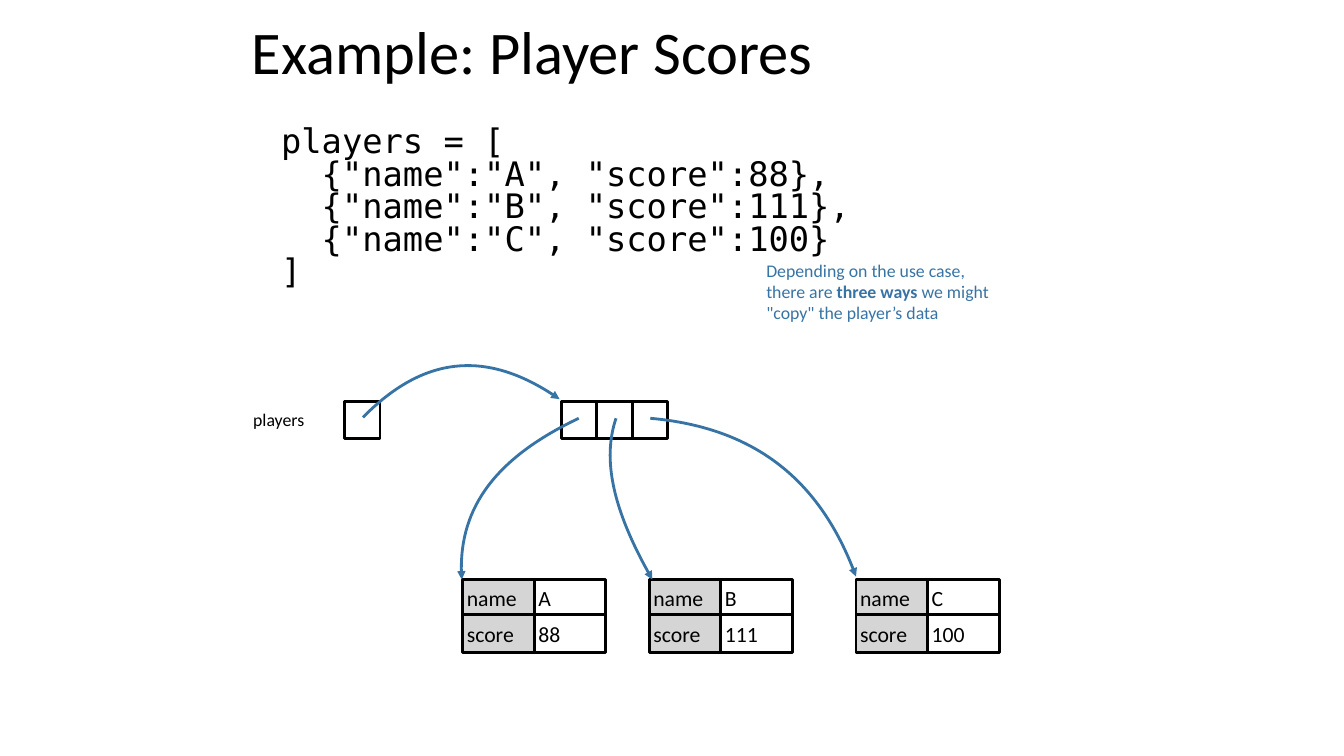
from dataclasses import dataclass

from lxml import etree
from pptx import Presentation
from pptx.dml.color import RGBColor
from pptx.enum.shapes import MSO_SHAPE
from pptx.enum.text import MSO_ANCHOR, MSO_AUTO_SIZE, PP_ALIGN
from pptx.oxml.ns import qn
from pptx.util import Inches, Pt

RECTANGLE = MSO_SHAPE.RECTANGLE
TOP, MIDDLE = MSO_ANCHOR.TOP, MSO_ANCHOR.MIDDLE
LEFT = PP_ALIGN.LEFT
FIT_SHAPE = MSO_AUTO_SIZE.SHAPE_TO_FIT_TEXT


@dataclass(frozen=True)
class Theme:
    """Colours, fonts and type sizes of the slide."""
    ink: RGBColor = RGBColor(0x00, 0x00, 0x00)
    paper: RGBColor = RGBColor(0xFF, 0xFF, 0xFF)
    key_fill: RGBColor = RGBColor(0xD6, 0xD5, 0xD5)
    accent: RGBColor = RGBColor(0x37, 0x74, 0xA5)
    body_font: str = "Calibri"
    code_font: str = "DejaVu Sans Mono"
    title_size: float = 43.2
    code_size: float = 24.1
    cell_size: float = 15.5
    label_size: float = 12.7
    line_width: float = 2


THEME = Theme()
CELL_HEIGHT = 0.37
ROW_STEP = 0.35
SLOT_SIZE = 0.35
FIELD_WIDTH = 0.71
CODE = '''players = [
  {"name":"A", "score":88},
  {"name":"B", "score":111},
  {"name":"C", "score":100}
]'''
NOTE = [
    ("Depending on the use case,",),
    ("there are ", "three ways", " we might"),
    ("\"copy\" the player’s data",),
]
RECORDS = [(4.59, "A", "88"), (6.44, "B", "111"), (8.49, "C", "100")]
POINTERS = [
    [(3.6, 4.14), (4.2, 3.53), (4.85, 3.47), (5.55, 3.96)],
    [(6.45, 4.15), (7.46, 4.24), (8.14, 4.76), (8.49, 5.72)],
    [(6.11, 4.15), (5.97, 4.56), (6.09, 5.09), (6.47, 5.75)],
    [(5.74, 4.15), (4.92, 4.54), (4.53, 5.07), (4.58, 5.75)],
]


def write_text(shape, paragraphs, *, size, font=THEME.body_font, color=THEME.ink,
               anchor=MIDDLE, inset=None, wrap=True, spacing=None):
    """Fill a shape with paragraphs, each a tuple of alternating plain and bold runs."""
    frame = shape.text_frame
    frame.word_wrap = wrap
    frame.vertical_anchor = anchor
    if inset is not None:
        frame.margin_left = frame.margin_right = Inches(inset)
        frame.margin_top = frame.margin_bottom = Inches(inset)
    if not wrap:
        frame.auto_size = FIT_SHAPE
    for index, runs in enumerate(paragraphs):
        paragraph = frame.add_paragraph() if index else frame.paragraphs[0]
        paragraph.alignment = LEFT
        if spacing:
            paragraph.line_spacing = spacing
        for position, text in enumerate(runs):
            for line_number, line in enumerate(text.split("\n")):
                if line_number:
                    paragraph.add_line_break()
                run = paragraph.add_run()
                run.text = line
                run.font.name = font
                run.font.size = Pt(size)
                run.font.bold = position % 2 == 1
                run.font.color.rgb = color


def add_text_box(slide, left, top, width, height, paragraphs, **text_format):
    """Add a text box with formatted paragraphs."""
    box = slide.shapes.add_textbox(Inches(left), Inches(top), Inches(width), Inches(height))
    write_text(box, paragraphs, **text_format)


def add_cell(slide, left, top, width, text="", fill=THEME.paper):
    """Add one outlined memory cell, with text if it has any."""
    cell = slide.shapes.add_shape(
        RECTANGLE, Inches(left), Inches(top), Inches(width), Inches(CELL_HEIGHT))
    cell.shadow.inherit = False
    cell.fill.solid()
    cell.fill.fore_color.rgb = fill
    cell.line.color.rgb = THEME.ink
    cell.line.width = Pt(THEME.line_width)
    if text:
        write_text(cell, [(text,)], size=THEME.cell_size, inset=0.04)


def add_record(slide, left, name, score):
    """Add a two-row record of keys and values."""
    for row, (key, value) in enumerate((("name", name), ("score", score))):
        top = 5.75 + row * ROW_STEP
        add_cell(slide, left, top, FIELD_WIDTH, key, THEME.key_fill)
        add_cell(slide, left + FIELD_WIDTH, top, FIELD_WIDTH, value)


def bezier_point(controls, t):
    """Return the point at t on a cubic curve."""
    weights = ((1 - t) ** 3, 3 * t * (1 - t) ** 2, 3 * t ** 2 * (1 - t), t ** 3)
    return tuple(
        int(sum(weight * value for weight, value in zip(weights, axis)))
        for axis in zip(*controls))


def add_pointer(slide, points):
    """Add a curved arrow whose frame fits the curve itself."""
    controls = [(Inches(x), Inches(y)) for x, y in points]
    builder = slide.shapes.build_freeform(*controls[0])
    builder.add_line_segments(
        [bezier_point(controls, step / 20) for step in range(1, 21)], close=False)
    arrow = builder.convert_to_shape()
    outline = next(arrow.element.iter(qn("a:path")))
    for segment in outline.findall(qn("a:lnTo")):
        outline.remove(segment)
    curve = etree.SubElement(outline, qn("a:cubicBezTo"))
    for x, y in controls[1:]:
        etree.SubElement(curve, qn("a:pt"), x=str(x - arrow.left), y=str(y - arrow.top))
    arrow.shadow.inherit = False
    arrow.fill.background()
    arrow.line.color.rgb = THEME.accent
    arrow.line.width = Pt(THEME.line_width)
    etree.SubElement(arrow.line._get_or_add_ln(), qn("a:tailEnd"), type="triangle")


def main():
    """Build and save the slide."""
    presentation = Presentation()
    presentation.slide_width = Inches(13.33)
    presentation.slide_height = Inches(7.5)
    slide = presentation.slides.add_slide(presentation.slide_layouts[6])

    add_text_box(slide, 2.4, 0.2, 8.54, 0.69, [("Example: Player Scores",)],
                 size=THEME.title_size, spacing=0.9)
    add_text_box(slide, 2.69, 1.22, 8.54, 1.72, [(CODE,)], size=THEME.code_size,
                 font=THEME.code_font, anchor=TOP, spacing=0.8)
    add_text_box(slide, 2.47, 4.02, 0.59, 0.29, [("players",)],
                 size=THEME.label_size, inset=0.04, wrap=False)
    add_cell(slide, 3.42, 3.98, SLOT_SIZE)
    for index in range(len(RECORDS)):
        add_cell(slide, 5.57 + index * SLOT_SIZE, 3.98, SLOT_SIZE)
    for record in RECORDS:
        add_record(slide, *record)
    for points in POINTERS:
        add_pointer(slide, points)
    add_text_box(slide, 7.56, 2.53, 2.29, 0.72, NOTE, size=THEME.label_size,
                 color=THEME.accent, inset=0.04, wrap=False)

    presentation.save("out.pptx")


if __name__ == "__main__":
    main()
